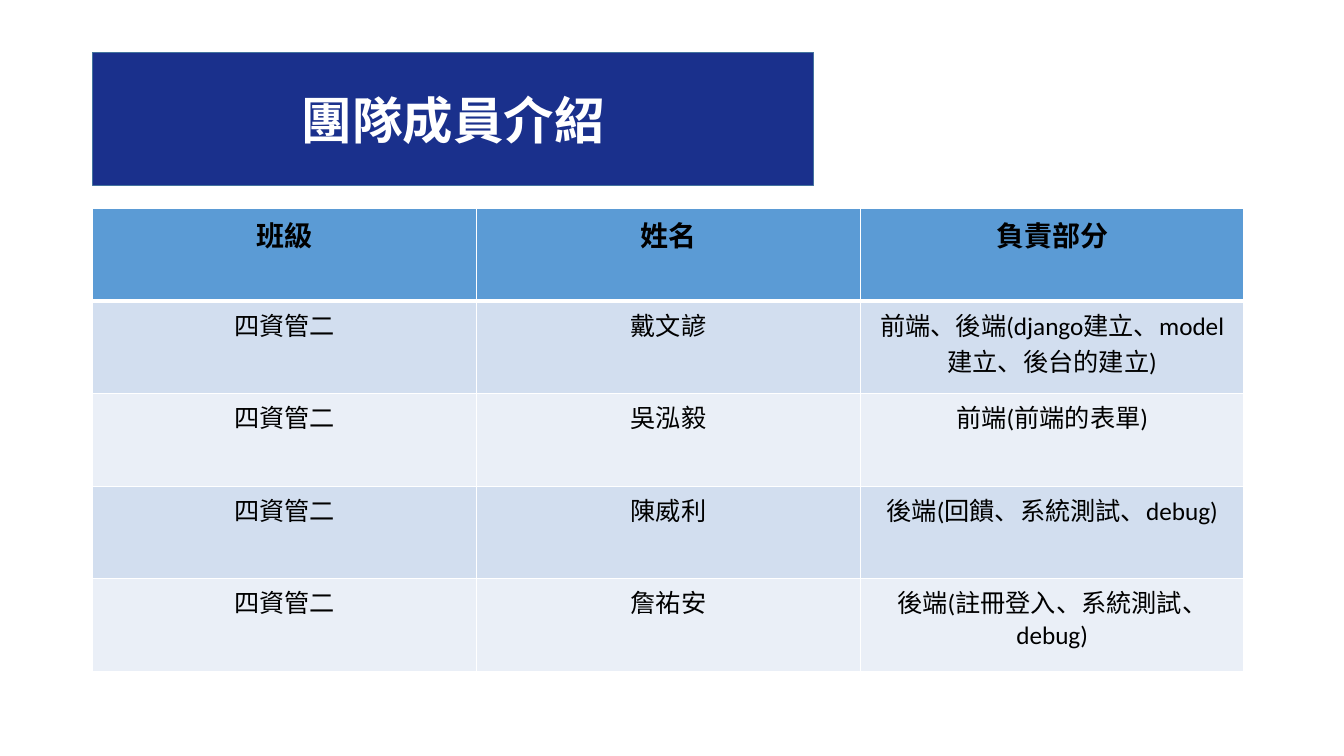
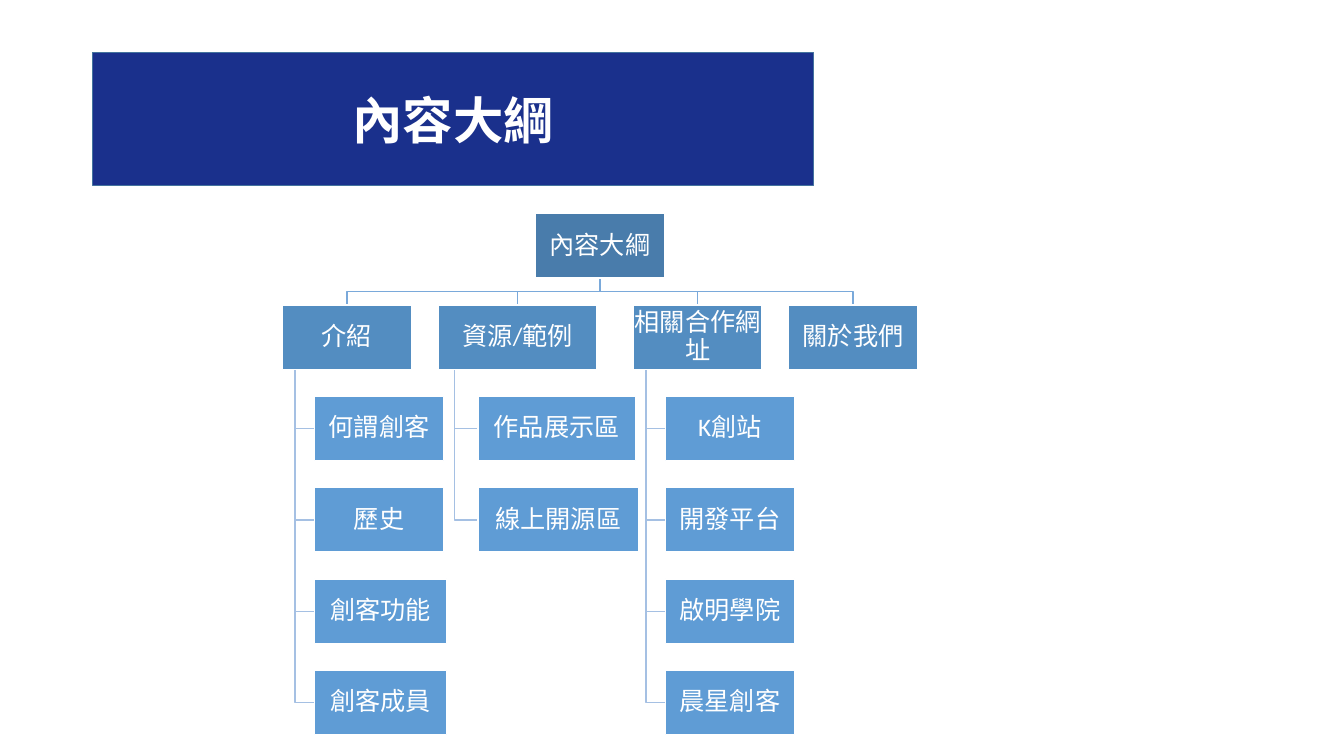
from dataclasses import dataclass

from lxml import etree
from pptx import Presentation
from pptx.dml.color import RGBColor
from pptx.enum.shapes import MSO_SHAPE
from pptx.enum.text import MSO_ANCHOR, MSO_AUTO_SIZE, PP_ALIGN
from pptx.oxml.ns import qn
from pptx.util import Inches, Pt

RECTANGLE = MSO_SHAPE.RECTANGLE
MIDDLE = MSO_ANCHOR.MIDDLE
CENTER = PP_ALIGN.CENTER
NO_AUTOFIT = MSO_AUTO_SIZE.NONE
TITLE_ONLY = 5


@dataclass(frozen=True)
class Theme:
    white: str = "FFFFFF"
    black: str = "000000"
    banner: str = "1A308C"
    banner_edge: str = "43739E"
    header: str = "5B9BD5"
    bands: tuple = ("D2DEEF", "EAEFF7")
    root: str = "497CAB"
    branch: str = "538DC1"
    leaf: str = "5F9CD5"
    branch_line: str = "7AA9DA"
    leaf_line: str = "A5C0E3"
    title_font: str = "Noto Sans CJK SC"
    body_font: str = "Calibri"
    title_size: int = 36
    header_size: int = 20
    body_size: int = 18
    thin: int = 1
    thick: int = 3


@dataclass(frozen=True)
class Box:
    left: float
    top: float
    width: float
    height: float

    @property
    def center(self):
        return self.left + self.width / 2

    @property
    def middle(self):
        return self.top + self.height / 2

    @property
    def bottom(self):
        return self.top + self.height

    def inches(self):
        return [Inches(value) for value in (self.left, self.top, self.width, self.height)]


THEME = Theme()
PAGE_SIZE = (13.33, 7.5)
TITLE_BOX = Box(0.92, 0.52, 7.15, 1.32)
TABLE_BOX = Box(0.92, 2.07, 11.42, 4.59)
CHART_BOX = Box(2.8, 2.12, 6.3, 5.17)
NODE_WIDTH = 1.28
NODE_HEIGHT = 0.64
NODE_MARGIN = 0.01

TEAM_ROWS = [
    ("班級", "姓名", "負責部分"),
    ("四資管二", "戴文諺", "前端、後端(django建立、model建立、後台的建立)"),
    ("四資管二", "吳泓毅", "前端(前端的表單)"),
    ("四資管二", "陳威利", "後端(回饋、系統測試、debug)"),
    ("四資管二", "詹祐安", "後端(註冊登入、系統測試、debug)"),
]

OUTLINE_ROOT = "內容大綱"
OUTLINE_BRANCHES = [
    ("介紹", 0, 1.28, [("何謂創客", 1.28), ("歷史", 1.28), ("創客功能", 1.31), ("創客成員", 1.31)]),
    ("資源/範例", 1.55, 1.57, [("作品展示區", 1.56), ("線上開源區", 1.59)]),
    ("相關合作網址", 3.48, 1.28, [("K創站", 1.28), ("開發平台", 1.28), ("啟明學院", 1.28), ("晨星創客", 1.28)]),
    ("關於我們", 5.02, 1.28, []),
]


def color(code):
    return RGBColor.from_string(code)


def apply_format(target, values):
    for name, value in values.items():
        setattr(target, name, value)


def paint(shape, fill, line):
    shape.shadow.inherit = False
    if fill:
        shape.fill.solid()
        shape.fill.fore_color.rgb = color(fill)
    else:
        shape.fill.background()
    shape.line.color.rgb = color(line)
    shape.line.width = Pt(THEME.thin)


def write(frame, text, text_color, **font_format):
    para = frame.paragraphs[0]
    para.alignment = CENTER
    span = para.add_run()
    span.text = text
    apply_format(span.font, font_format)
    span.font.color.rgb = color(text_color)
    return para, span


def add_title(page, text, box):
    title = page.shapes.title
    apply_format(title, dict(zip(("left", "top", "width", "height"), box.inches())))
    fill = title.fill
    fill.solid()
    fill.fore_color.rgb = color(THEME.banner)
    title.line.color.rgb = color(THEME.banner_edge)
    title.line.width = Pt(THEME.thin)
    apply_format(title.text_frame, {"vertical_anchor": MIDDLE, "word_wrap": True, "auto_size": NO_AUTOFIT})
    _, span = write(title.text_frame, text, THEME.white,
                    name=THEME.title_font, size=Pt(THEME.title_size), bold=True)
    latin = span.font._element.find(qn("a:latin"))
    east_asian = etree.Element(qn("a:ea"), typeface=THEME.title_font)
    latin.addnext(east_asian)


def add_page(deck, title):
    page = deck.slides.add_slide(deck.slide_layouts[TITLE_ONLY])
    add_title(page, title, TITLE_BOX)
    return page


def set_borders(cell, widths):
    properties = cell._tc.get_or_add_tcPr()
    for side, width in widths.items():
        border = etree.SubElement(properties, qn(f"a:ln{side}"), w=str(Pt(width)))
        fill = etree.SubElement(border, qn("a:solidFill"))
        etree.SubElement(fill, qn("a:srgbClr"), val=THEME.white)


def add_team_table(page, rows, box):
    table = page.shapes.add_table(len(rows), len(rows[0]), *box.inches()).table
    table.horz_banding = False
    for column in table.columns:
        column.width = Inches(box.width / len(rows[0]))
    for row_index, texts in enumerate(rows):
        is_header = row_index == 0
        table.rows[row_index].height = Inches(box.height / len(rows))
        fill = THEME.header if is_header else THEME.bands[(row_index - 1) % 2]
        size = THEME.header_size if is_header else THEME.body_size
        borders = {
            "L": THEME.thin,
            "R": THEME.thin,
            "T": THEME.thick if row_index == 1 else THEME.thin,
            "B": THEME.thick if is_header else THEME.thin,
        }
        for cell, text in zip(table.rows[row_index].cells, texts):
            set_borders(cell, borders)
            cell.fill.solid()
            cell.fill.fore_color.rgb = color(fill)
            write(cell.text_frame, text, THEME.black,
                  name=THEME.body_font, size=Pt(size), bold=is_header)


def add_node(page, text, box, fill):
    node = page.shapes.add_shape(RECTANGLE, *box.inches())
    paint(node, fill, THEME.white)
    frame = node.text_frame
    apply_format(frame, {"vertical_anchor": MIDDLE, "word_wrap": True})
    for side in ("left", "top", "right", "bottom"):
        setattr(frame, f"margin_{side}", Inches(NODE_MARGIN))
    para, _ = write(frame, text, THEME.white, name=THEME.body_font, size=Pt(THEME.body_size))
    para.line_spacing = 0.9


def add_elbow(page, points, line):
    corners = [(Inches(x), Inches(y)) for x, y in points]
    builder = page.shapes.build_freeform(*corners[0])
    builder.add_line_segments(corners[1:], close=False)
    paint(builder.convert_to_shape(), None, line)


def add_branch(page, text, leaves, box, pitch):
    trunk = box.left + box.width * 0.1
    leaf_left = box.left + box.width * 0.25
    for level, (leaf, width) in enumerate(leaves, 1):
        leaf_box = Box(leaf_left, box.top + level * pitch, width, box.height)
        add_elbow(page, [(trunk, box.bottom), (trunk, leaf_box.middle), (leaf_left, leaf_box.middle)],
                  THEME.leaf_line)
        add_node(page, leaf, leaf_box, THEME.leaf)
    add_node(page, text, box, THEME.branch)


def add_outline_chart(page, root, branches, box):
    levels = 1 + max(len(leaves) for *_, leaves in branches)
    pitch = (box.height - NODE_HEIGHT) / levels
    root_box = Box(box.center - NODE_WIDTH / 2, box.top, NODE_WIDTH, NODE_HEIGHT)
    branch_top = box.top + pitch
    turn = (root_box.bottom + branch_top) / 2
    for text, offset, width, leaves in branches:
        branch_box = Box(box.left + offset, branch_top, width, NODE_HEIGHT)
        add_elbow(page, [(root_box.center, root_box.bottom), (root_box.center, turn),
                         (branch_box.center, turn), (branch_box.center, branch_top)],
                  THEME.branch_line)
        add_branch(page, text, leaves, branch_box, pitch)
    add_node(page, root, root_box, THEME.root)


def main():
    deck = Presentation()
    deck.slide_width, deck.slide_height = map(Inches, PAGE_SIZE)
    add_team_table(add_page(deck, "團隊成員介紹"), TEAM_ROWS, TABLE_BOX)
    add_outline_chart(add_page(deck, "內容大綱"), OUTLINE_ROOT, OUTLINE_BRANCHES, CHART_BOX)
    deck.save("out.pptx")


if __name__ == "__main__":
    main()
